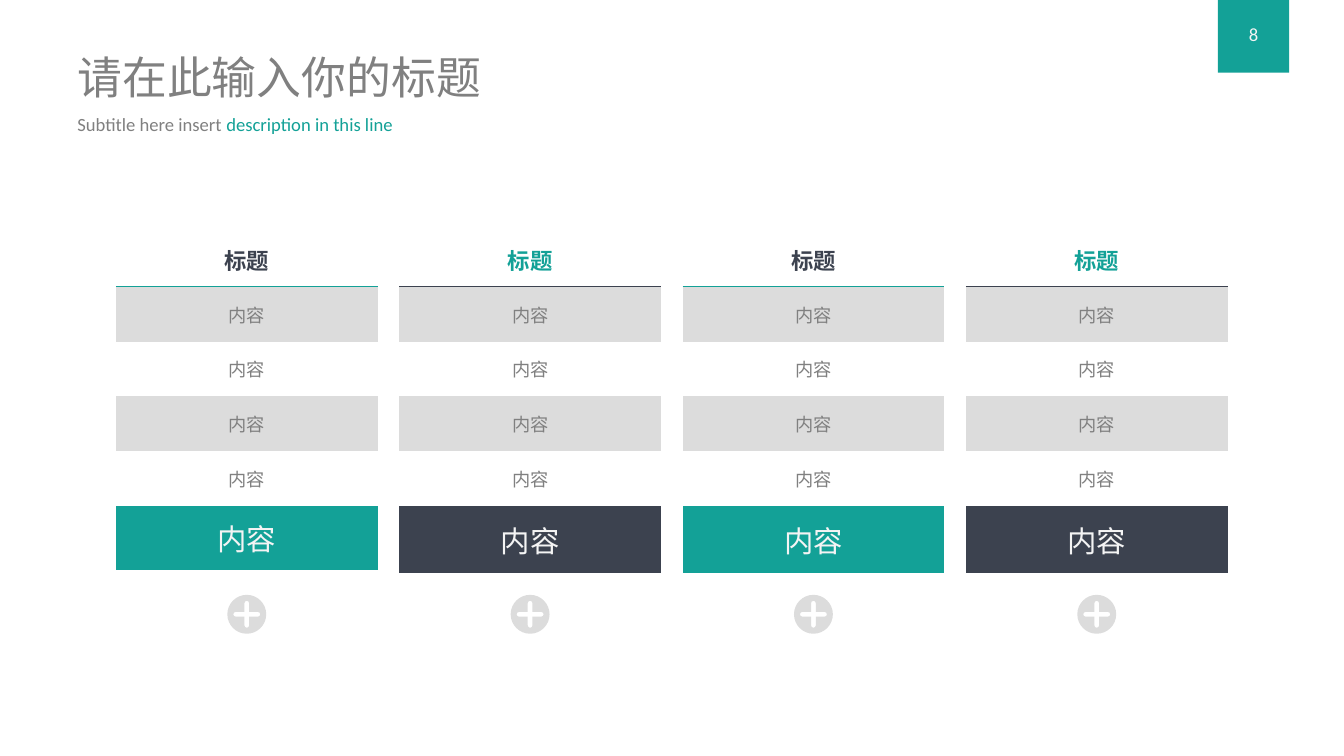
import math

import lxml.etree
import pptx
import pptx.dml.color
import pptx.enum.shapes
import pptx.enum.text
import pptx.oxml
import pptx.oxml.ns
import pptx.util

Cm, Pt, qn = pptx.util.Cm, pptx.util.Pt, pptx.oxml.ns.qn
ALIGN, ANCHOR = pptx.enum.text.PP_ALIGN, pptx.enum.text.MSO_ANCHOR
FIT = pptx.enum.text.MSO_AUTO_SIZE
RECTANGLE = pptx.enum.shapes.MSO_SHAPE.RECTANGLE

TITLE = "请在此输入你的标题"
SUBTITLE = [("Subtitle here insert ", "gray"), ("description in this line", "teal")]
PAGE_NUMBER = "8"
ROWS = ["标题", "内容", "内容", "内容", "内容", "内容"]
# heading colour, accent colour, height of the last row in cm
TABLES = [
    ("navy", "teal", 1.61),
    ("teal", "navy", 1.69),
    ("navy", "teal", 1.69),
    ("teal", "navy", 1.69),
]
COLORS = {
    "teal": "13A197",
    "navy": "3C424F",
    "gray": "808080",
    "band": "DCDCDC",
    "light": "F4F4F4",
}
FONT = "Calibri"
NO_STYLE = "{2D5ABB26-0587-4C30-8999-92F81FD0307C}"

TABLE_LEFT, TABLE_TOP, TABLE_WIDTH, TABLE_PITCH = 2.92, 5.85, 6.6, 7.14
ROW_HEIGHT = 1.38
ICON_CENTER_Y, ICON_RADIUS = 15.48, 0.49
ARM_LENGTH, ARM_HALF_WIDTH = 0.34, 0.06
QUARTER_ARC = 0.55  # handle length of a quarter circle, as a share of its radius


def color(name):
    return pptx.dml.color.RGBColor.from_string(COLORS[name])


def set_font(font, size, color_name, bold=False):
    font.name, font.size, font.bold = FONT, Pt(size), bold
    font.color.rgb = color(color_name)


def fill_shape(shape, color_name):
    shape.fill.solid()
    shape.fill.fore_color.rgb = color(color_name)
    shape.line.fill.background()
    shape.shadow.inherit = False


def add_border(cell, side, color_name=None):
    """Draw one side of a cell, or clear it when no colour is given."""
    fill = "<a:noFill/>"
    if color_name:
        fill = f'<a:solidFill><a:srgbClr val="{COLORS[color_name]}"/></a:solidFill>'
    border = pptx.oxml.parse_xml(
        f'<a:{side} {pptx.oxml.ns.nsdecls("a")} w="12700">{fill}</a:{side}>'
    )
    cell._tc.get_or_add_tcPr().insert(0, border)


def add_price_table(slide, left, heading, accent, last_height):
    heights = [ROW_HEIGHT] * (len(ROWS) - 1) + [last_height]
    table = slide.shapes.add_table(
        len(ROWS), 1, Cm(left), Cm(TABLE_TOP), Cm(TABLE_WIDTH), Cm(sum(heights))
    ).table
    table.first_row = table.horz_banding = False
    table._tbl.tblPr[0].text = NO_STYLE
    last = len(ROWS) - 1
    for index, (text, height) in enumerate(zip(ROWS, heights)):
        table.rows[index].height = Cm(height)
        cell = table.cell(index, 0)
        cell.text = text
        cell.vertical_anchor = ANCHOR.MIDDLE
        cell.margin_left = cell.margin_right = Cm(0.33)
        cell.margin_top = cell.margin_bottom = Cm(0.17)
        paragraph = cell.text_frame.paragraphs[0]
        paragraph.alignment = ALIGN.CENTER
        if index == 0:
            set_font(paragraph.font, 16, heading, bold=True)
        elif index == last:
            set_font(paragraph.font, 21, "light")
        else:
            set_font(paragraph.font, 13, "gray")
        if index == last or index % 2:
            cell.fill.solid()
            cell.fill.fore_color.rgb = color(accent if index == last else "band")
        else:
            cell.fill.background()
    add_border(table.cell(0, 0), "lnB", accent)
    add_border(table.cell(1, 0), "lnB")
    add_border(table.cell(1, 0), "lnT", accent)


def rotate(x, y, degrees):
    cosine, sine = math.cos(math.radians(degrees)), math.sin(math.radians(degrees))
    return x * cosine - y * sine, x * sine + y * cosine


def bend(line, start, end, center):
    """Turn a straight segment into a quarter circle around a center."""
    handles = [
        [p + QUARTER_ARC * (q - c) for p, q, c in zip(a, b, center)]
        for a, b in ((start, end), (end, start))
    ]
    line.tag = qn("a:cubicBezTo")
    for position, (x, y) in enumerate(handles):
        point = lxml.etree.Element(qn("a:pt"), x=str(round(x)), y=str(round(y)))
        line.insert(position, point)


def add_plus_icon(slide, center_x):
    """A disc with a round-ended plus cut out of it."""
    reach = ARM_LENGTH - ARM_HALF_WIDTH
    # each entry: point, and the center its segment bends around (None if straight)
    disc, plus = [], []
    for angle in (0, 90, 180, 270):
        disc.append((rotate(ICON_RADIUS, 0, angle), (0, 0)))
        cap = rotate(reach, 0, angle)
        plus += [
            (rotate(reach, -ARM_HALF_WIDTH, angle), None),
            (rotate(ARM_LENGTH, 0, angle), cap),
            (rotate(reach, ARM_HALF_WIDTH, angle), cap),
            (rotate(ARM_HALF_WIDTH, ARM_HALF_WIDTH, angle), None),
        ]
    disc.append(disc[0])

    def place(point):
        return Cm(center_x + point[0]), Cm(ICON_CENTER_Y + point[1])

    builder = slide.shapes.build_freeform(*place(disc[0][0]))
    builder.add_line_segments([place(point) for point, _ in disc[1:]])
    builder.move_to(*place(plus[0][0]))
    builder.add_line_segments([place(point) for point, _ in plus[1:]])
    icon = builder.convert_to_shape()
    fill_shape(icon, "band")

    segments = list(zip(disc, disc[1:])) + list(zip(plus, plus[1:] + plus[:1]))
    for line, ((start, _), (end, center)) in zip(list(icon._element.iter(qn("a:lnTo"))), segments):
        if center:
            local = [
                (x - icon.left, y - icon.top) for x, y in map(place, (start, end, center))
            ]
            bend(line, *local)


def add_page_number(slide):
    group = slide.shapes.add_group_shape()
    square = group.shapes.add_shape(RECTANGLE, Cm(30.69), 0, Cm(1.8), Cm(1.83))
    label = group.shapes.add_shape(RECTANGLE, Cm(31.21), Cm(0.45), Cm(0.76), Cm(0.84))
    for shape in (square, label):
        fill_shape(shape, "teal")
    label.text_frame.text = PAGE_NUMBER
    label.text_frame.word_wrap = False
    label.text_frame.auto_size = FIT.SHAPE_TO_FIT_TEXT
    paragraph = label.text_frame.paragraphs[0]
    paragraph.alignment = ALIGN.CENTER
    set_font(paragraph.font, 13.3, "light")


def add_titles(slide):
    title = slide.shapes.title
    title.left, title.top, title.width, title.height = Cm(1.7), Cm(1.12), Cm(10.77), Cm(1.63)
    title.text_frame.text = TITLE
    title.text_frame.word_wrap = False
    title.text_frame.auto_size = FIT.NONE
    title.text_frame.vertical_anchor = ANCHOR.MIDDLE
    paragraph = title.text_frame.paragraphs[0]
    paragraph.alignment = ALIGN.LEFT
    set_font(paragraph.font, 32, "gray")

    subtitle = slide.shapes.add_textbox(Cm(1.7), Cm(2.72), Cm(8.53), Cm(0.84))
    subtitle.text_frame.word_wrap = False
    subtitle.text_frame.auto_size = FIT.SHAPE_TO_FIT_TEXT
    for text, color_name in SUBTITLE:
        run = subtitle.text_frame.paragraphs[0].add_run()
        run.text = text
        set_font(run.font, 13.3, color_name)


presentation = pptx.Presentation()
presentation.slide_width, presentation.slide_height = Cm(33.87), Cm(19.05)
slide = presentation.slides.add_slide(presentation.slide_layouts[5])
add_titles(slide)
add_page_number(slide)
for index, (heading, accent, last_height) in enumerate(TABLES):
    left = TABLE_LEFT + index * TABLE_PITCH
    add_price_table(slide, left, heading, accent, last_height)
    add_plus_icon(slide, left + TABLE_WIDTH / 2)
presentation.save("out.pptx")
